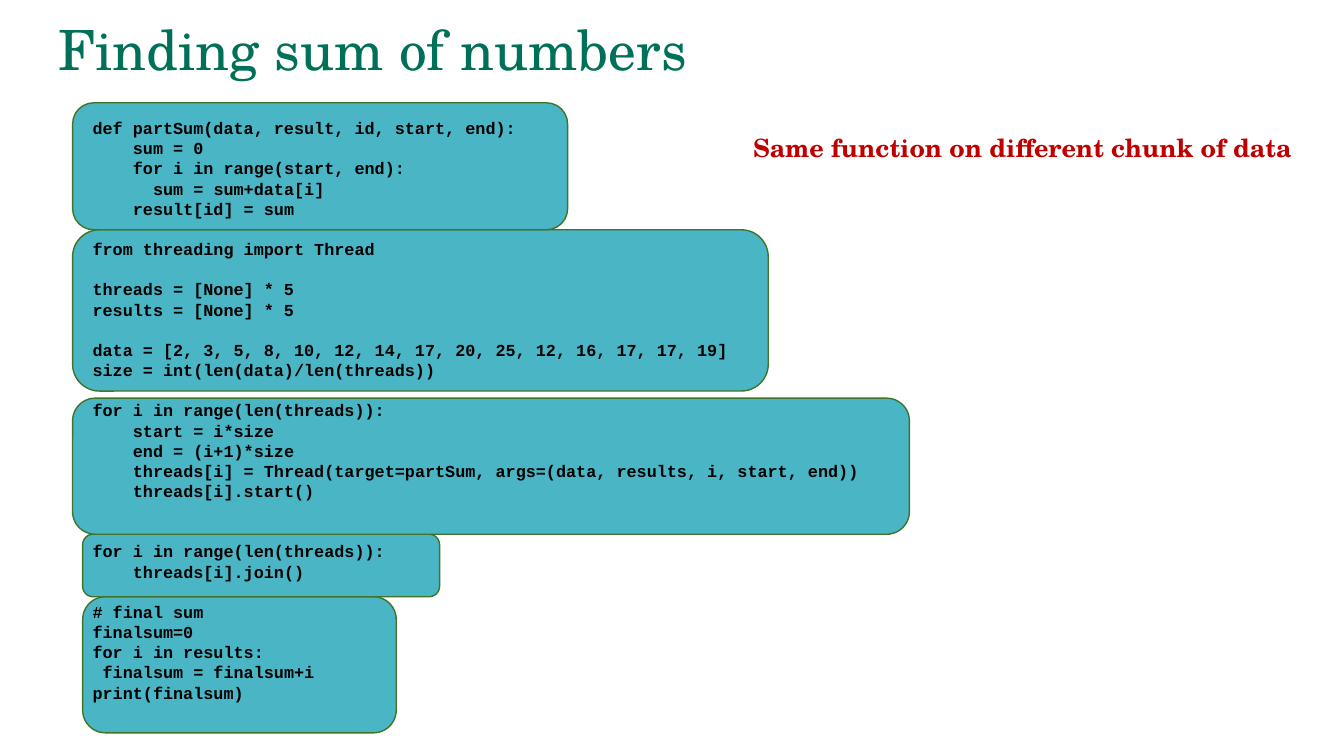
from pptx import Presentation
from pptx.dml.color import RGBColor
from pptx.enum.shapes import MSO_SHAPE
from pptx.enum.text import MSO_ANCHOR
from pptx.util import Inches, Pt

ROUNDED = MSO_SHAPE.ROUNDED_RECTANGLE
TOP, MIDDLE = MSO_ANCHOR.TOP, MSO_ANCHOR.MIDDLE

CODE = """\
def partSum(data, result, id, start, end):
    sum = 0
    for i in range(start, end):
      sum = sum+data[i]
    result[id] = sum

from threading import Thread

threads = [None] * 5
results = [None] * 5

data = [2, 3, 5, 8, 10, 12, 14, 17, 20, 25, 12, 16, 17, 17, 19]
size = int(len(data)/len(threads))

for i in range(len(threads)):
    start = i*size
    end = (i+1)*size
    threads[i] = Thread(target=partSum, args=(data, results, i, start, end))
    threads[i].start()


for i in range(len(threads)):
    threads[i].join()

# final sum
finalsum=0
for i in results:
 finalsum = finalsum+i
print(finalsum)"""

# left, top, width, height, from back to front
CODE_PANELS = [
    (0.82, 5.92, 3.11, 1.35),
    (0.82, 5.3, 3.54, 0.62),
    (0.72, 3.95, 8.3, 1.35),
    (0.72, 2.28, 6.9, 1.6),
    (0.72, 1.02, 4.91, 1.26),
]


def color(hex_string):
    return RGBColor.from_string(hex_string)


class SlideBuilder:
    SERIF = "TeX Gyre Schola"
    MONO = "Courier New"
    TITLE_COLOR = "017058"
    NOTE_COLOR = "C00000"
    CODE_COLOR = "000000"
    PANEL_FILL = "4AB5C4"
    PANEL_LINE = "3E752A"
    CODE_SIZE = 12
    CODE_LINE = 14.4
    CODE_CHARACTER = 7.2

    def __init__(self, slide):
        self.slide = slide

    def panel(self, left, top, width, height):
        shape = self.slide.shapes.add_shape(
            ROUNDED, Inches(left), Inches(top), Inches(width), Inches(height))
        shape.shadow.inherit = False
        shape.fill.solid()
        shape.fill.fore_color.rgb = color(self.PANEL_FILL)
        shape.line.color.rgb = color(self.PANEL_LINE)
        shape.line.width = Pt(1)

    def text_frame(self, left, top, width, height, anchor=TOP, wrap=True):
        box = self.slide.shapes.add_textbox(
            Inches(left), Inches(top), Inches(width), Inches(height))
        frame = box.text_frame
        frame.word_wrap = wrap
        frame.vertical_anchor = anchor
        return frame

    def run(self, paragraph, text, font_name, size, hex_string, bold=False):
        run = paragraph.add_run()
        run.text = text
        run.font.name = font_name
        run.font.size = Pt(size)
        run.font.bold = bold
        run.font.color.rgb = color(hex_string)

    def title(self, text, *place):
        paragraph = self.text_frame(*place, anchor=MIDDLE).paragraphs[0]
        paragraph.line_spacing = 0.9
        self.run(paragraph, text, self.SERIF, 39.6, self.TITLE_COLOR)

    def note(self, text, *place):
        paragraph = self.text_frame(*place, wrap=False).paragraphs[0]
        self.run(paragraph, text, self.SERIF, 18, self.NOTE_COLOR, bold=True)

    def code(self, source, *place):
        """Turn blank lines into space before, and leading spaces into indents."""
        frame = self.text_frame(*place)
        paragraph = frame.paragraphs[0]
        blank_lines = 0
        for number, line in enumerate(source.splitlines()):
            statement = line.lstrip()
            if not statement:
                blank_lines += 1
                continue
            if number:
                paragraph = frame.add_paragraph()
            indent = (len(line) - len(statement)) * self.CODE_CHARACTER
            properties = paragraph._p.get_or_add_pPr()
            properties.set("marL", str(Pt(indent)))
            properties.set("indent", "0")
            paragraph.line_spacing = Pt(self.CODE_LINE)
            paragraph.space_before = Pt(blank_lines * self.CODE_LINE)
            self.run(paragraph, statement, self.MONO, self.CODE_SIZE,
                     self.CODE_COLOR, bold=True)
            blank_lines = 0


def main():
    presentation = Presentation()
    presentation.slide_width = Inches(13.33)
    presentation.slide_height = Inches(7.5)
    builder = SlideBuilder(
        presentation.slides.add_slide(presentation.slide_layouts[6]))

    for place in CODE_PANELS:
        builder.panel(*place)
    builder.title("Finding sum of numbers", 0.48, 0.22, 11.5, 0.6)
    builder.code(CODE, 0.82, 1.12, 8.4, 6.16)
    builder.note("Same function on different chunk of data",
                 7.37, 1.26, 5.61, 0.4)

    presentation.save("out.pptx")


if __name__ == "__main__":
    main()
